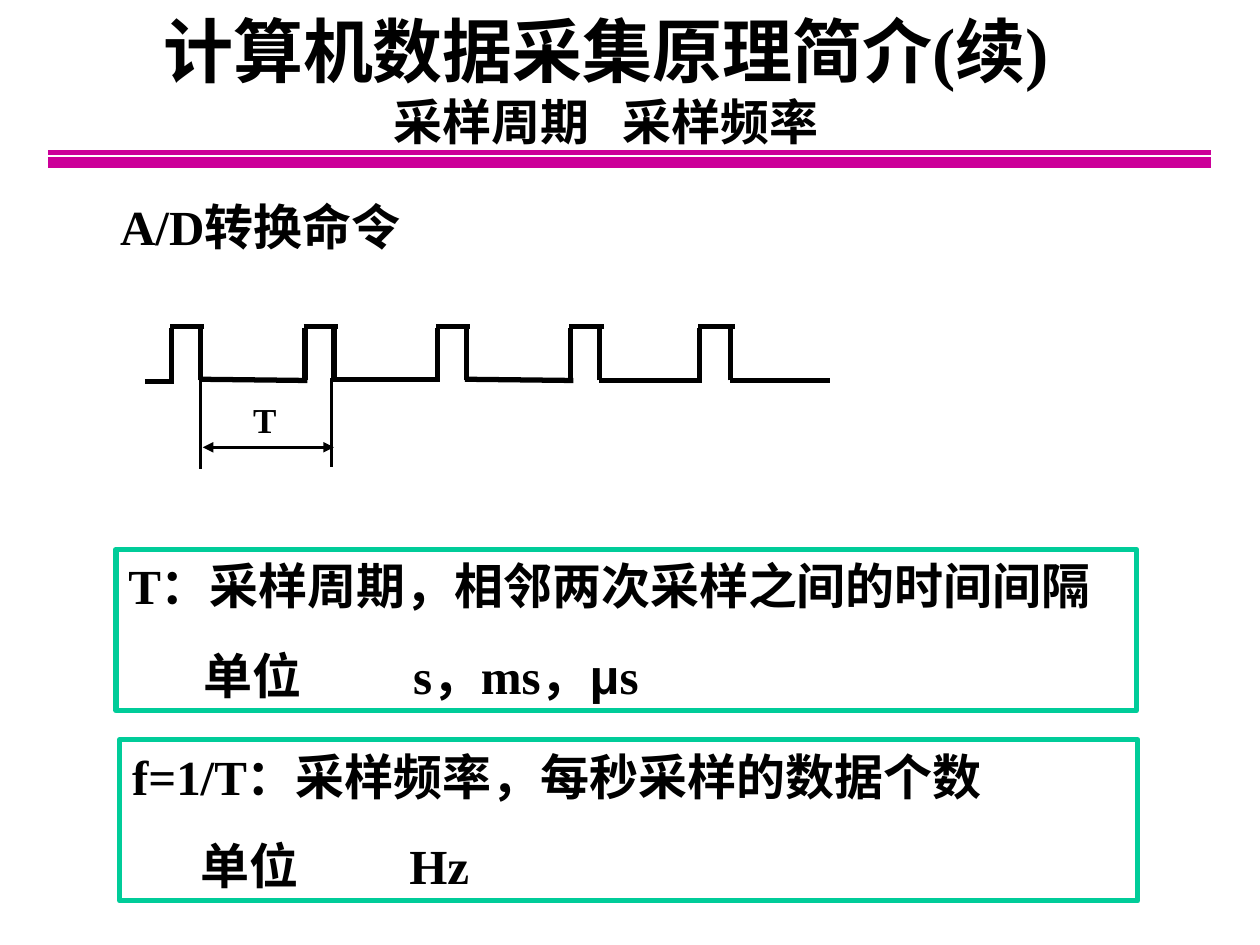
"""Build a slide that explains sampling period and sampling frequency."""
import pptx
import pptx.dml.color
import pptx.enum.shapes
import pptx.enum.text
import pptx.oxml
import pptx.oxml.ns
import pptx.util

Inches, Pt = pptx.util.Inches, pptx.util.Pt
ALIGN = pptx.enum.text.PP_ALIGN
BLACK, MAGENTA, GREEN = "000000", "CC0099", "00CC99"

TITLE, SUBTITLE = "计算机数据采集原理简介(续)", ("采样周期", "采样频率")
TITLE_AT = (0.56, 0, 8.5, 1.25)
LABELS = [
    ("A/D转换命令", 28, (0.68, 1.51, 2.77, 0.57), True),
    ("T", 20, (1.91, 3.11, 0.38, 0.44), False),
]
BOXES = [
    {"at": (0.92, 4.36, 8.1, 1.28), "wrap": False, "indent": 0.6, "tab": 1.66,
     "lines": [[("T：采样周期，相邻两次采样之间的时间间隔", "Times New Roman")],
               [("单位\ts，ms，", "Times New Roman"), ("μ", "Arial"),
                ("s", "Times New Roman")]]},
    {"at": (0.95, 5.87, 8.08, 1.28), "wrap": True, "indent": 0.54, "tab": 1.66,
     "lines": [[("f=1/T：采样频率，每秒采样的数据个数", "Times New Roman")],
               [("单位\tHz", "Times New Roman")]]},
]
RULES = [(1.21, 3), (1.29, 6)]
PULSES = [(1.36, 1.59), (2.42, 2.65), (3.47, 3.7), (4.53, 4.76), (5.55, 5.8)]
BASES = [(3.03, 3.03), (3.01, 3.02), (3.01, 3.01), (3.01, 3.02), (3.02, 3.02), (3.02, 3.02)]
WAVE_START, WAVE_END, HIGH, LOW = 1.15, 6.59, 2.59, 3.02
PERIOD_MARKS = [(1.59, 3.01, 3.72), (2.63, 3, 3.71)]
PERIOD_ARROW = (1.61, 3.55, 2.65, 3.55)


def rgb(color):
    """Return the colour of a hex string."""
    return pptx.dml.color.RGBColor.from_string(color)


def element(tag, **attrs):
    """Return a new DrawingML element."""
    el = pptx.oxml.parse_xml(f"<a:{tag} {pptx.oxml.ns.nsdecls('a')}/>")
    for name, value in attrs.items():
        el.set(name, str(value))
    return el


def add_line(shapes, ends, color, width, arrows=False):
    """Draw a straight line, with arrowheads at both ends on request."""
    line = shapes.add_connector(pptx.enum.shapes.MSO_CONNECTOR.STRAIGHT, *map(Inches, ends))
    line.line.color.rgb = rgb(color)
    line.line.width = Pt(width)
    sp_pr = line._element.spPr
    if arrows:
        ln = sp_pr.find(pptx.oxml.ns.qn("a:ln"))
        for tag in ("headEnd", "tailEnd"):
            ln.append(element(tag, type="triangle"))
    sp_pr.append(element("effectLst"))


def add_run(p, text, size, name="Times New Roman"):
    """Add a bold black run to a paragraph."""
    r = p.add_run()
    r.text = text
    for key, value in {"size": Pt(size), "name": name, "bold": True}.items():
        setattr(r.font, key, value)
    r.font.color.rgb = rgb(BLACK)
    return r


def set_frame(tf, wrap):
    """Set the wrapping, anchor and margins of a text frame."""
    form = {"word_wrap": wrap, "vertical_anchor": pptx.enum.text.MSO_ANCHOR.MIDDLE,
            "margin_left": Inches(0.1), "margin_right": Inches(0.1),
            "margin_top": Inches(0.05), "margin_bottom": Inches(0.05)}
    for key, value in form.items():
        setattr(tf, key, value)


def add_title(s):
    """Fill the title placeholder with the heading and its second line."""
    sp = s.shapes.title
    for key, value in zip(("left", "top", "width", "height"), TITLE_AT):
        setattr(sp, key, Inches(value))
    set_frame(sp.text_frame, True)
    p = sp.text_frame.paragraphs[0]
    p.alignment = ALIGN.CENTER
    add_run(p, TITLE, 40)
    p.add_line_break()
    add_run(p, SUBTITLE[0], 28)
    gap = add_run(p, " ", 28)
    gap.font._element.set("spc", "1260")
    add_run(p, SUBTITLE[1], 28)


def add_label(s, text, size, at, wrap):
    """Add a centred one-line label."""
    tf = s.shapes.add_textbox(*map(Inches, at)).text_frame
    set_frame(tf, wrap)
    p = tf.paragraphs[0]
    p.alignment = ALIGN.CENTER
    add_run(p, text, size)


def add_box(s, box):
    """Add a framed definition with an indented line of units."""
    sp = s.shapes.add_shape(pptx.enum.shapes.MSO_SHAPE.RECTANGLE, *map(Inches, box["at"]))
    sp.shadow.inherit = False
    sp.fill.background()
    sp.line.color.rgb = rgb(GREEN)
    sp.line.width = Pt(3)
    tf = sp.text_frame
    set_frame(tf, box["wrap"])
    for i, runs in enumerate(box["lines"]):
        p = tf.add_paragraph() if i else tf.paragraphs[0]
        p.alignment = ALIGN.LEFT
        if i:
            p_pr = p._p.get_or_add_pPr()
            p_pr.set("marL", str(Inches(box["indent"])))
            tabs = element("tabLst")
            tabs.append(element("tab", pos=Inches(box["tab"]), algn="l"))
            p_pr.append(tabs)
            p.space_before = Pt(17.5)
        for text, name in runs:
            add_run(p, text, 28, name)


def add_wave(s):
    """Draw the pulse train, its period marks and the period arrow."""
    wave = s.shapes.add_group_shape().shapes
    for left, right in PULSES:
        add_line(wave, (left - 0.01, HIGH, right + 0.03, HIGH), BLACK, 3)
        for x in (left, right):
            add_line(wave, (x, LOW, x, HIGH + 0.01), BLACK, 3)
    starts = [WAVE_START] + [right - 0.01 for _, right in PULSES]
    ends = [left + 0.02 for left, _ in PULSES] + [WAVE_END]
    for x1, x2, (y1, y2) in zip(starts, ends, BASES):
        add_line(wave, (x1, y1, x2, y2), BLACK, 3)
    marks = s.shapes.add_group_shape().shapes
    for x, top, bottom in PERIOD_MARKS:
        add_line(marks, (x, top, x, bottom), BLACK, 1.5)
    add_line(s.shapes, PERIOD_ARROW, BLACK, 1.5, arrows=True)


def main():
    """Build and save the slide."""
    prs = pptx.Presentation()
    prs.slide_width, prs.slide_height = Inches(10), Inches(7.5)
    s = prs.slides.add_slide(prs.slide_layouts[5])
    add_title(s)
    rules = s.shapes.add_group_shape().shapes
    for y, width in RULES:
        add_line(rules, (0.38, y, 9.61, y), MAGENTA, width)
    add_wave(s)
    for label in LABELS:
        add_label(s, *label)
    for box in BOXES:
        add_box(s, box)
    prs.save("out.pptx")


if __name__ == "__main__":
    main()
